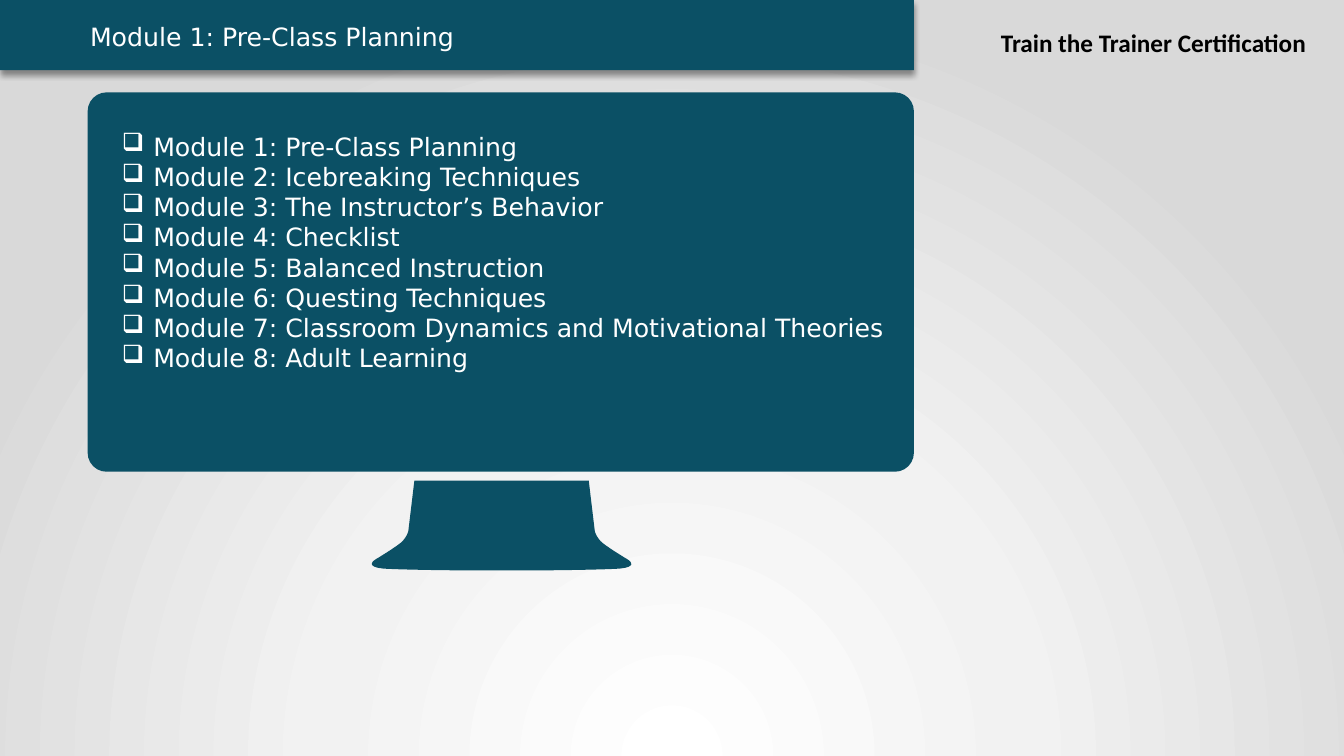
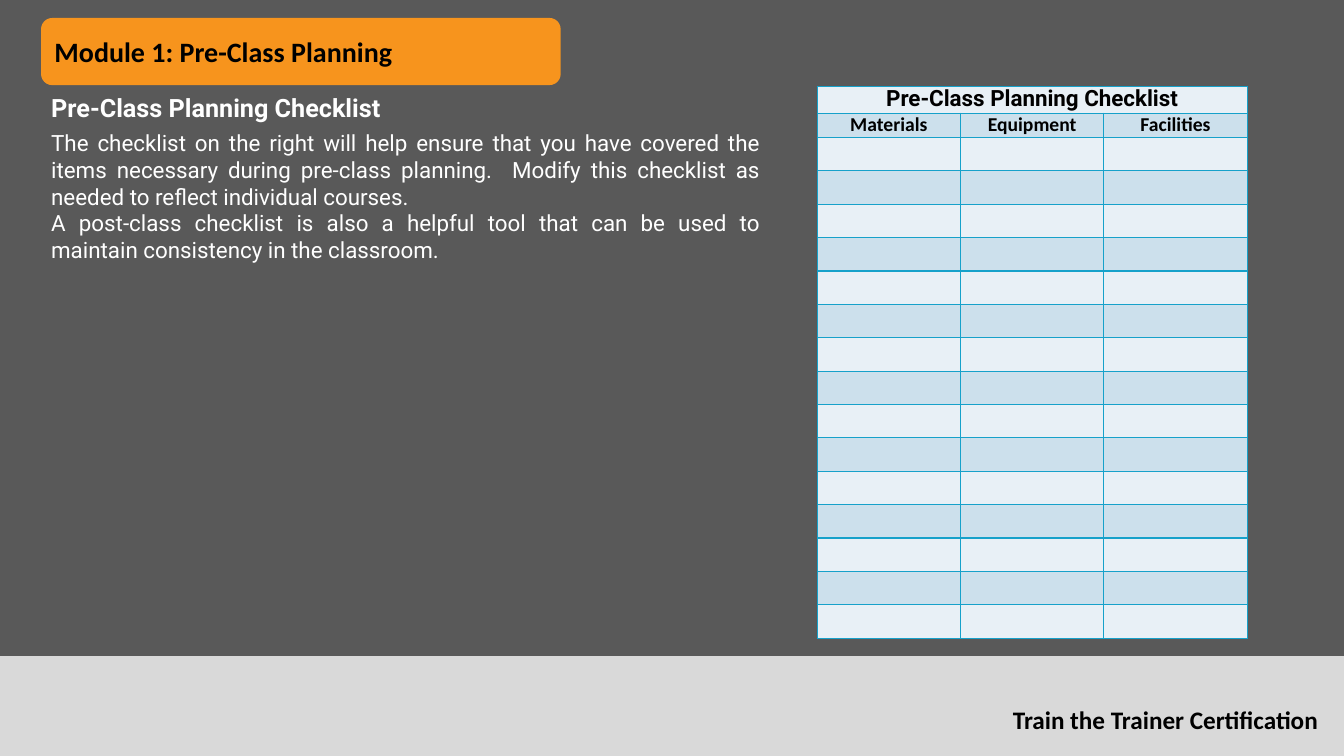
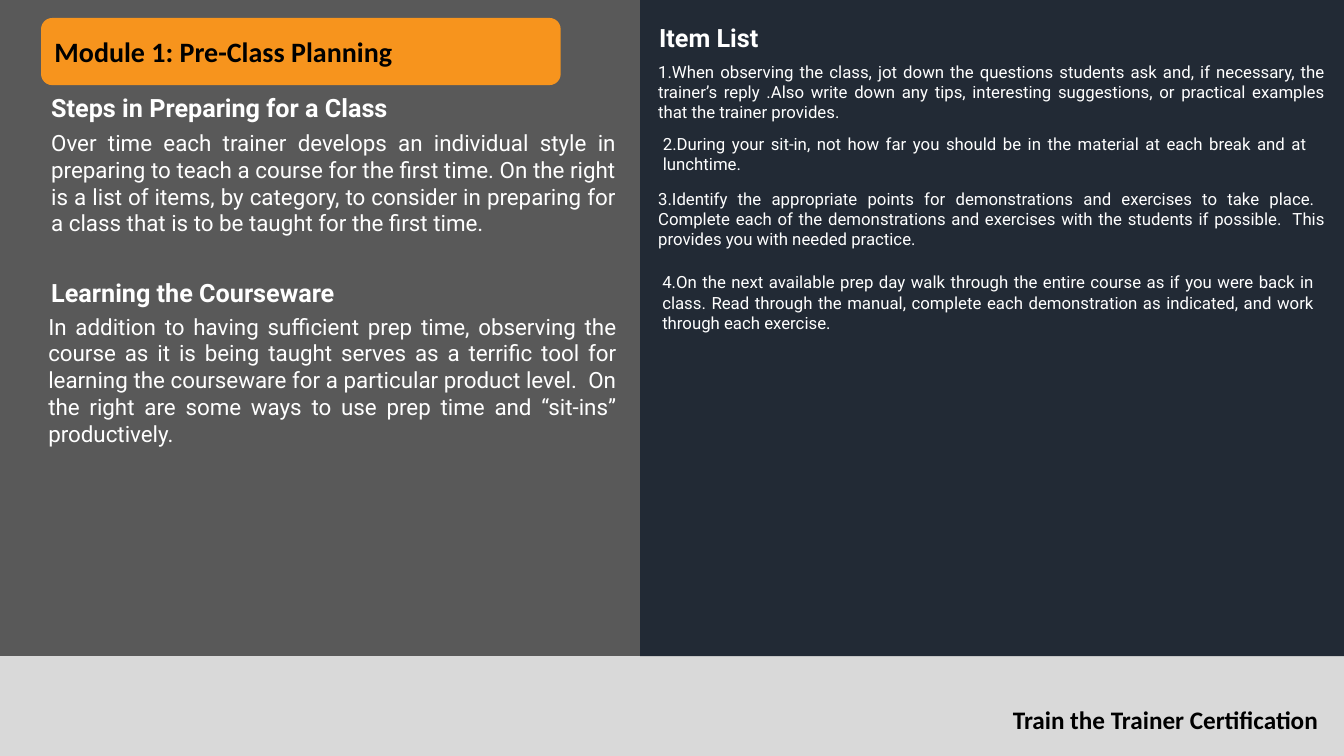
from dataclasses import dataclass
from typing import NamedTuple

from pptx import Presentation
from pptx.dml.color import RGBColor
from pptx.enum.shapes import MSO_SHAPE as Preset
from pptx.enum.text import MSO_ANCHOR as Anchor, MSO_AUTO_SIZE as AutoSize, PP_ALIGN as Align
from pptx.oxml import parse_xml
from pptx.oxml.ns import nsdecls, qn
from pptx.presentation import Presentation as Deck
from pptx.shapes.autoshape import Shape
from pptx.slide import Slide
from pptx.table import _Cell as Cell
from pptx.text.text import TextFrame
from pptx.util import Pt

TEAL, ORANGE, NAVY = "0B5065", "F7941D", "222A35"
CHARCOAL, SILVER, WHITE, BLACK = "595959", "D9D9D9", "FFFFFF", "000000"
ROW_TINTS = ("E8F0F6", "CCE0EC")
GRID_BLUE = "16A1CA"
BACKDROP_STOPS = ((0, WHITE), (46, "F2F2F2"), (100, SILVER))
SLIDE_WIDTH, SLIDE_HEIGHT = 960, 540
FOOTER_TOP = 468.7
MODULE_TITLE = "Module 1: Pre-Class Planning"
COURSE_NAME = "Train the Trainer Certification"


class Box(NamedTuple):
    left: float
    top: float
    width: float
    height: float

    def lengths(self) -> list[Pt]:
        return [Pt(length) for length in self]


@dataclass(frozen=True)
class Passage:
    text: str
    box: Box
    size: float = 16
    bold: bool = False


def rgb(color: str) -> RGBColor:
    return RGBColor.from_string(color)


def heading(text: str, left: float, top: float) -> Passage:
    return Passage(text, Box(left, top, 315.4, 28.8), size=18, bold=True)


def write(
    frame: TextFrame,
    text: str,
    *,
    size: float,
    font: str = "Roboto",
    color: str = WHITE,
    bold: bool = False,
    align: Align = Align.LEFT,
    bullet: str = "",
) -> None:
    for index, line in enumerate(text.split("\n")):
        paragraph = frame.paragraphs[0] if index == 0 else frame.add_paragraph()
        paragraph.alignment = align
        run = paragraph.add_run()
        run.text = line
        run.font.size = Pt(size)
        run.font.name = font
        run.font.bold = bold
        run.font.color.rgb = rgb(color)
        if bullet:
            properties = paragraph._p.get_or_add_pPr()
            properties.set("marL", str(Pt(22.5)))
            properties.set("indent", str(-Pt(22.5)))
            properties.append(parse_xml(f'<a:buChar {nsdecls("a")} char="{bullet}"/>'))


def add_text(slide: Slide, text: str, box: Box, *, wrap: bool = True, **text_format) -> None:
    frame = slide.shapes.add_textbox(*box.lengths()).text_frame
    frame.word_wrap = wrap
    write(frame, text, **text_format)


def paint(shape: Shape, color: str) -> Shape:
    shape.shadow.inherit = False
    shape.fill.solid()
    shape.fill.fore_color.rgb = rgb(color)
    shape.line.fill.background()
    return shape


def add_block(
    slide: Slide, box: Box, color: str, preset: Preset = Preset.RECTANGLE
) -> Shape:
    return paint(slide.shapes.add_shape(preset, *box.lengths()), color)


def place_title(slide: Slide, band: Shape, box: Box, **text_format) -> None:
    title = slide.shapes.title
    title.left, title.top, title.width, title.height = box.lengths()
    frame = title.text_frame
    frame.auto_size = AutoSize.NONE
    frame.vertical_anchor = Anchor.MIDDLE
    write(frame, MODULE_TITLE, **text_format)
    band.element.addnext(title.element)


def add_course_name(slide: Slide, left: float, top: float) -> None:
    add_text(slide, COURSE_NAME, Box(left, top, 238.3, 28.8), wrap=False,
             size=18, font="Calibri", color=BLACK, bold=True)


def add_passages(slide: Slide, passages: list[Passage]) -> None:
    for passage in passages:
        add_text(slide, passage.text, passage.box, size=passage.size, bold=passage.bold,
                 align=Align.LEFT if passage.bold else Align.JUSTIFY)


def set_backdrop(deck: Deck) -> None:
    master = deck.slide_master
    master.background.fill.gradient()
    gradient = master.element.find(".//" + qn("a:gradFill"))
    for child in list(gradient):
        gradient.remove(child)
    stops = "".join(
        f'<a:gs pos="{position * 1000}"><a:srgbClr val="{color}"/></a:gs>'
        for position, color in BACKDROP_STOPS
    )
    gradient.append(parse_xml(f'<a:gsLst {nsdecls("a")}>{stops}</a:gsLst>'))
    gradient.append(parse_xml(
        f'<a:path {nsdecls("a")} path="circle">'
        '<a:fillToRect l="50000" t="130000" r="50000" b="-30000"/></a:path>'
    ))


def drop_shadow(shape: Shape) -> None:
    effects = shape.element.spPr.find(qn("a:effectLst"))
    effects.append(parse_xml(
        f'<a:outerShdw {nsdecls("a")} blurRad="{Pt(4)}" dist="{Pt(3)}" dir="5400000" '
        'algn="t" rotWithShape="0"><a:srgbClr val="000000"><a:alpha val="40000"/>'
        '</a:srgbClr></a:outerShdw>'
    ))


def curve_points(
    controls: tuple[tuple[float, float], ...], steps: int = 10
) -> list[tuple[float, float]]:
    points = []
    for step in range(1, steps + 1):
        t = step / steps
        weights = ((1 - t) ** 3, 3 * t * (1 - t) ** 2, 3 * t**2 * (1 - t), t**3)
        points.append(tuple(
            sum(weight * control[axis] for weight, control in zip(weights, controls))
            for axis in (0, 1)
        ))
    return points


def add_monitor_stand(slide: Slide, center: float) -> None:
    curves = (
        ((66.6, 379.4), (66.6, 379.4), (67.9, 385), (73.4, 388.8)),
        ((73.4, 388.8), (79, 393), (90, 399.6), (90, 399.6)),
        ((90, 399.6), (90, 399.6), (98.6, 404.6), (85, 406.1)),
        ((85, 406.1), (77, 406.8), (42, 407.5), (14, 407.5)),
    )
    half = [(62.3, 343.4), (66.6, 379.4)]
    for controls in curves:
        half += curve_points(controls)
    right = [(Pt(center + x), Pt(y)) for x, y in half]
    left = [(Pt(center - x), Pt(y)) for x, y in reversed(half)]
    builder = slide.shapes.build_freeform(*right[0])
    builder.add_line_segments(right[1:] + left, close=True)
    paint(builder.convert_to_shape(), TEAL)


def style_cell(cell: Cell, tint: str) -> None:
    cell.fill.solid()
    cell.fill.fore_color.rgb = rgb(tint)
    cell.margin_left = cell.margin_right = Pt(3)
    cell.margin_top = cell.margin_bottom = 0
    properties = cell._tc.get_or_add_tcPr()
    for index, side in enumerate(("lnL", "lnR", "lnT", "lnB")):
        properties.insert(index, parse_xml(
            f'<a:{side} {nsdecls("a")} w="{Pt(1)}"><a:solidFill>'
            f'<a:srgbClr val="{GRID_BLUE}"/></a:solidFill></a:{side}>'
        ))


def add_checklist(slide: Slide) -> None:
    columns = ("Materials", "Equipment", "Facilities")
    heights = [19.2, 17.4] + [23.85] * 15
    box = Box(583.7, 61.6, 307.2, sum(heights))
    checklist = slide.shapes.add_table(len(heights), len(columns), *box.lengths()).table
    checklist.first_row = checklist.horz_banding = False
    for column in checklist.columns:
        column.width = Pt(box.width / len(columns))
    for index, height in enumerate(heights):
        checklist.rows[index].height = Pt(height)
        for cell in checklist.rows[index].cells:
            style_cell(cell, ROW_TINTS[index % 2])
    caption = checklist.cell(0, 0)
    caption.merge(checklist.cell(0, len(columns) - 1))
    write(caption.text_frame, "Pre-Class Planning Checklist", size=16,
          color=BLACK, bold=True, align=Align.CENTER)
    for index, name in enumerate(columns):
        write(checklist.cell(1, index).text_frame, name, size=14, font="Calibri",
              color=BLACK, bold=True, align=Align.CENTER)


def new_slide(deck: Deck) -> Slide:
    return deck.slides.add_slide(deck.slide_layouts[5])


def new_lesson(deck: Deck) -> Slide:
    slide = new_slide(deck)
    add_block(slide, Box(0, 0, SLIDE_WIDTH, FOOTER_TOP), CHARCOAL)
    band = add_block(slide, Box(29.3, 12.8, 371.2, 48), ORANGE, Preset.ROUNDED_RECTANGLE)
    place_title(slide, band, Box(31.7, 12.8, 366, 48),
                size=20, font="Calibri", color=BLACK, bold=True)
    add_block(slide, Box(0, FOOTER_TOP, SLIDE_WIDTH, SLIDE_HEIGHT - FOOTER_TOP), SILVER)
    add_course_name(slide, 716.4, 499.7)
    return slide


def build_overview(deck: Deck) -> None:
    slide = new_slide(deck)
    add_course_name(slide, 707.8, 15.8)
    band = add_block(slide, Box(0, 0, 652.8, 50.2), TEAL)
    drop_shadow(band)
    place_title(slide, band, Box(57.1, 0, 580, 51.4), size=18, font="DejaVu Sans")
    screen = add_block(slide, Box(62.6, 66, 590.2, 271), TEAL, Preset.ROUNDED_RECTANGLE)
    screen.adjustments[0] = 0.05
    add_monitor_stand(slide, 358.3)
    modules = (
        "Pre-Class Planning",
        "Icebreaking Techniques",
        "The Instructor’s Behavior",
        "Checklist",
        "Balanced Instruction",
        "Questing Techniques",
        "Classroom Dynamics and Motivational Theories",
        "Adult Learning",
    )
    agenda = "\n".join(f"Module {number}: {name}" for number, name in enumerate(modules, 1))
    add_text(slide, agenda, Box(79.9, 90, 573.1, 180),
             size=18, font="DejaVu Sans", bullet="❑")


def build_checklist(deck: Deck) -> None:
    slide = new_lesson(deck)
    add_passages(slide, [
        heading("Pre-Class Planning Checklist", 29.5, 62.6),
        Passage(
            "The checklist on the right will help ensure that you have covered the items "
            "necessary during pre-class planning.  Modify this checklist as needed to "
            "reflect individual courses.\n"
            "A post-class checklist is also a helpful tool that can be used to maintain "
            "consistency in the classroom.",
            Box(29.5, 88.6, 520.6, 143.3),
        ),
    ])
    add_checklist(slide)


def build_preparation(deck: Deck) -> None:
    slide = new_lesson(deck)
    add_block(slide, Box(457.2, 0, SLIDE_WIDTH - 457.2, FOOTER_TOP), NAVY)
    add_passages(slide, [
        heading("Steps in Preparing for a Class", 29.5, 62.6),
        Passage(
            "Over time each trainer develops an individual style in preparing to teach a "
            "course for the first time. On the right is a list of items, by category, to "
            "consider in preparing for a class that is to be taught for the first time.",
            Box(29.5, 88.6, 417.6, 104.4),
        ),
        heading("Learning the Courseware", 29.5, 194.4),
        Passage(
            "In addition to having sufficient prep time, observing the course as it is "
            "being taught serves as a terrific tool for learning the courseware for a "
            "particular product level.  On the right are some ways to use prep time and "
            "“sit-ins” productively.",
            Box(27.4, 219.8, 420.2, 104.4),
        ),
        heading("Item List", 463.7, 12.2),
        Passage(
            "1.When observing the class, jot down the questions students ask and, if "
            "necessary, the trainer’s reply .Also write down any tips, interesting "
            "suggestions, or practical examples that the trainer provides.",
            Box(463, 40.3, 491, 51.1), size=12,
        ),
        Passage(
            "2.During your sit-in, not how far you should be in the material at each "
            "break and at lunchtime.",
            Box(466.4, 92.2, 474.5, 36), size=12,
        ),
        Passage(
            "3.Identify the appropriate points for demonstrations and exercises to take "
            "place.  Complete each of the demonstrations and exercises with the students "
            "if possible.  This provides you with needed practice.",
            Box(463, 131, 491, 51.1), size=12,
        ),
        Passage(
            "4.On the next available prep day walk through the entire course as if you "
            "were back in class. Read through the manual, complete each demonstration as "
            "indicated, and work through each exercise.",
            Box(466, 190.8, 480.2, 51.1), size=12,
        ),
    ])


def main() -> None:
    deck = Presentation()
    deck.slide_width, deck.slide_height = Pt(SLIDE_WIDTH), Pt(SLIDE_HEIGHT)
    set_backdrop(deck)
    build_overview(deck)
    build_checklist(deck)
    build_preparation(deck)
    deck.save("out.pptx")


if __name__ == "__main__":
    main()
